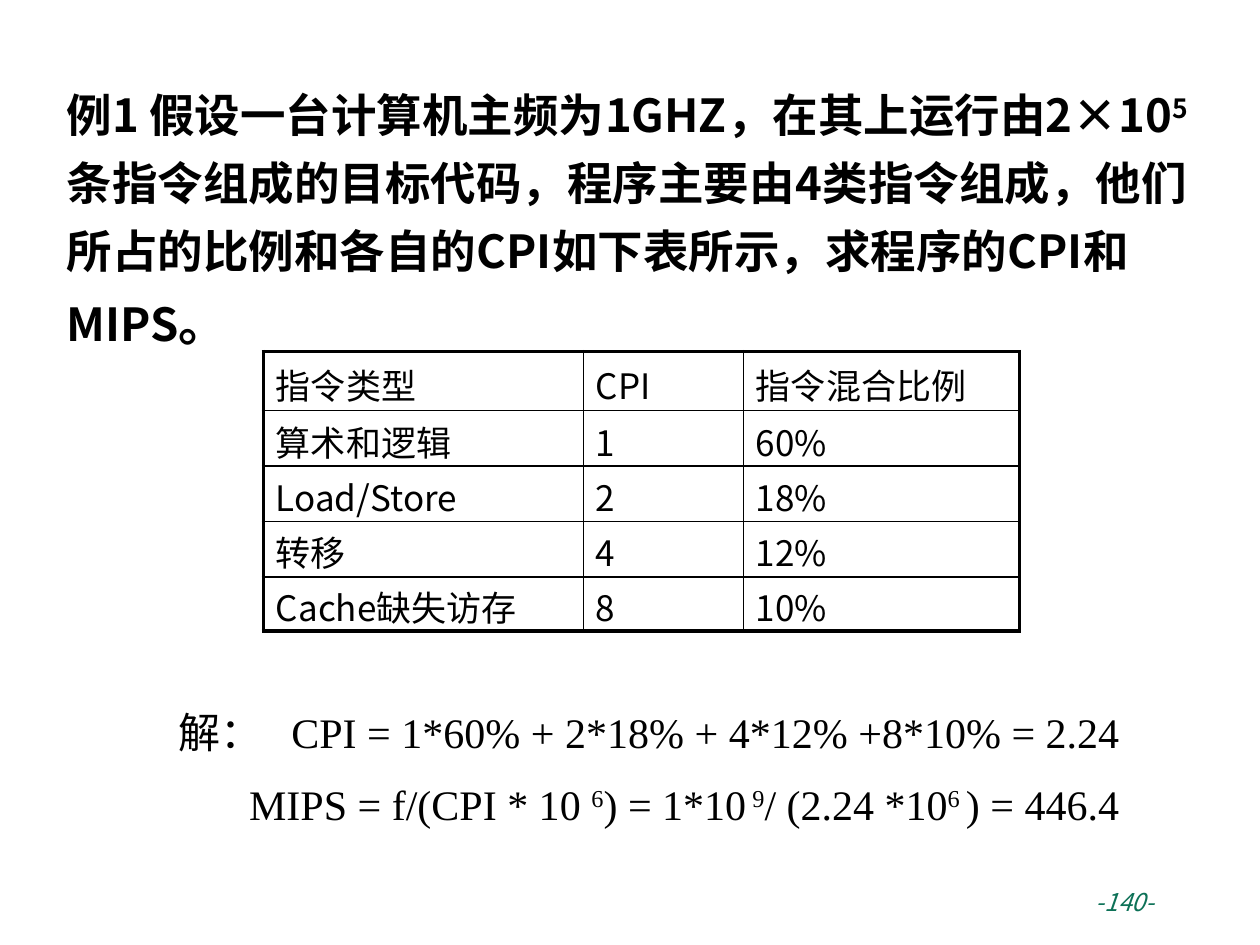
from dataclasses import dataclass

from lxml import etree
from pptx import Presentation, util as u
from pptx.dml.color import RGBColor
from pptx.enum import text
from pptx.oxml import ns


@dataclass(frozen=True)
class Theme:
    sans: str = "Noto Sans CJK SC"
    serif: str = "Times New Roman"
    ink: str = "000000"
    green: str = "0D7157"
    ask: int = 26
    stop: int = 28
    cell: int = 20
    work: int = 24
    page: int = 14
    thick: float = 2.25
    thin: float = 1


THEME = Theme()


def style(item, form):
    for key, val in form.items():
        setattr(item, key, val)


def write(para, parts, face, size, color=THEME.ink, **form):
    for part, extra in parts:
        run = para.add_run()
        run.text = part
        look = {"name": face, "size": u.Pt(size), **form}
        look.update({k: v for k, v in extra.items() if k not in ("base", "gap")})
        style(run.font, look)
        run.font.color.rgb = RGBColor.from_string(color)
        props = run._r.get_or_add_rPr()
        if "base" in extra:
            props.set("baseline", str(extra["base"] * 1000))
        if "gap" in extra:
            props.set("spc", str(extra["gap"] * 100))
        east = etree.SubElement(props, ns.qn("a:ea"))
        east.set("typeface", THEME.sans)


def frame(slide, box):
    body = slide.shapes.add_textbox(*map(u.Inches, box)).text_frame
    body.word_wrap = True
    return body


def ask(slide, box):
    para = frame(slide, box).paragraphs[0]
    para.line_spacing = 1.25
    parts = [
        ("例1 假设一台计算机主频为1GHZ，在其上运行由2×10", {}),
        ("5", {"base": 30}),
        ("条指令组成的目标代码，程序主要由4类指令组成，"
         "他们所占的比例和各自的CPI如下表所示，求程序的CPI和MIPS", {}),
        ("。", {"size": u.Pt(THEME.stop)}),
    ]
    write(para, parts, THEME.sans, THEME.ask, bold=True)


def edge(cell, side, width):
    props = cell._tc.get_or_add_tcPr()
    line = etree.SubElement(props, ns.qn("a:ln" + side), w=str(u.Pt(width)))
    fill = etree.SubElement(line, ns.qn("a:solidFill"))
    etree.SubElement(fill, ns.qn("a:srgbClr"), val=THEME.ink)


def mix(slide, box):
    rows = [
        ("指令类型", "CPI", "指令混合比例"),
        ("算术和逻辑", "1", "60%"),
        ("Load/Store", "2", "18%"),
        ("转移", "4", "12%"),
        ("Cache缺失访存", "8", "10%"),
    ]
    wide = (2.54, 1.27, 2.19)
    high = (0.47, 0.44, 0.44, 0.44, 0.43)
    grid = slide.shapes.add_table(len(rows), len(wide), *map(u.Inches, box)).table
    style(grid, {"first_row": False, "horz_banding": False})
    for col, size in zip(grid.columns, wide):
        col.width = u.Inches(size)
    for row, size in zip(grid.rows, high):
        row.height = u.Inches(size)
    for r, row in enumerate(rows):
        for c, word in enumerate(row):
            cell = grid.cell(r, c)
            style(cell, {
                "margin_left": u.Inches(0.1),
                "margin_right": u.Inches(0.1),
                "margin_top": 0,
                "margin_bottom": u.Inches(0.01 if r == 0 else 0),
                "vertical_anchor": text.MSO_ANCHOR.BOTTOM,
            })
            outer = {"L": c == 0, "R": c == len(wide) - 1,
                     "T": r == 0, "B": r == len(rows) - 1}
            for side, rim in outer.items():
                edge(cell, side, THEME.thick if rim else THEME.thin)
            cell.fill.background()
            write(cell.text_frame.paragraphs[0], [(word, {})], THEME.sans, THEME.cell)


def solve(slide, box):
    body = frame(slide, box)
    up = {"base": 30}
    lines = [
        [("解：", {}), (" ", {"gap": 11}),
         ("CPI = 1*60% + 2*18% + 4*12% +8*10% = 2.24", {})],
        [("MIPS = f/(CPI * 10 ", {}), ("6", up), (") = 1*10", {}), (" 9", up),
         ("/ (2.24 *10", {}), ("6 ", up), (") = 446.4", {})],
    ]
    for i, parts in enumerate(lines):
        para = body.add_paragraph() if i else body.paragraphs[0]
        para.alignment = text.PP_ALIGN.RIGHT
        if i:
            para.space_before = u.Pt(THEME.work / 2)
        write(para, parts, THEME.serif, THEME.work)


def page(slide, box):
    para = frame(slide, box).paragraphs[0]
    write(para, [("-140-", {})], THEME.sans, THEME.page, THEME.green, italic=True)


def main():
    deck = Presentation()
    style(deck, {"slide_width": u.Inches(10), "slide_height": u.Inches(7.5)})
    slide = deck.slides.add_slide(deck.slide_layouts[6])
    ask(slide, (0.43, 0.53, 9.37, 1.78))
    mix(slide, (2.09, 2.79, 6, 2.22))
    solve(slide, (0, 5.56, 8.98, 1.11))
    page(slide, (8.6, 6.99, 1.06, 0.52))
    deck.save("out.pptx")


if __name__ == "__main__":
    main()
